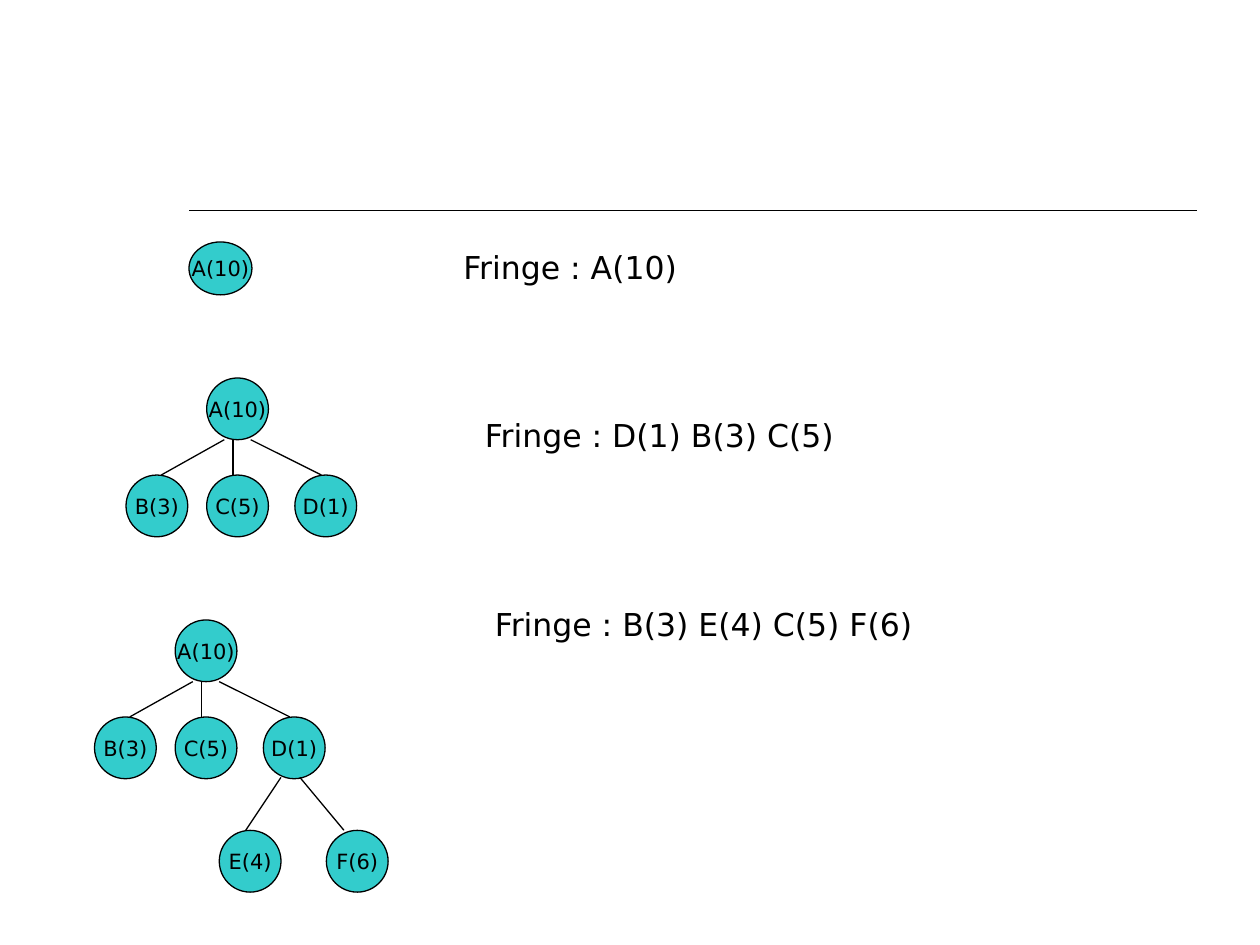
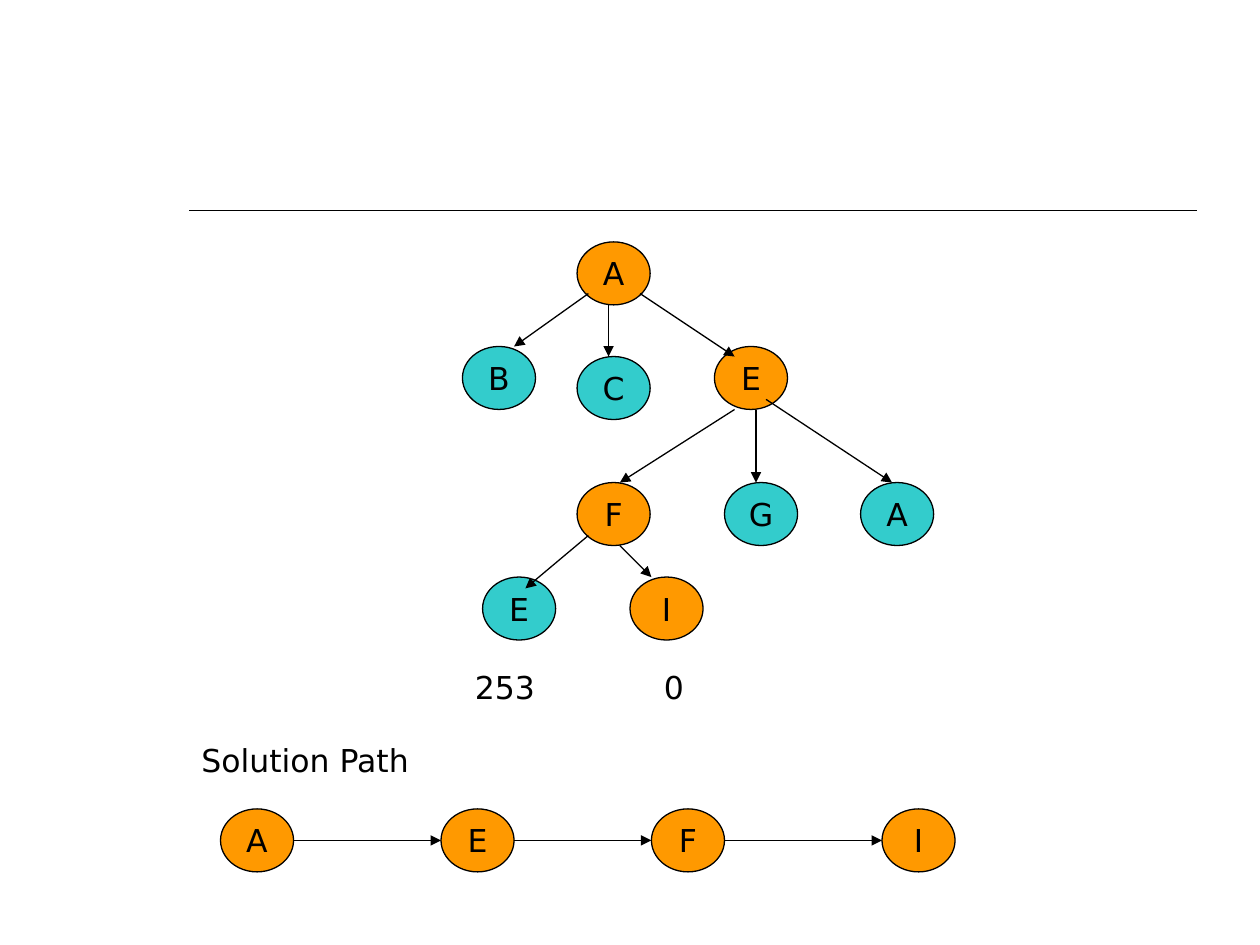
"""Build two slides showing search trees, their fringes and a solution path."""
from pptx import Presentation
from pptx.dml.color import RGBColor
from pptx.enum.shapes import MSO_CONNECTOR, MSO_SHAPE
from pptx.enum.text import MSO_ANCHOR, PP_ALIGN
from pptx.oxml.ns import qn
from pptx.util import Inches, Pt
from lxml.etree import SubElement

FONT = "DejaVu Sans"
BLACK, TEAL, ORANGE = "000000", "33CCCC", "FF9900"
color = RGBColor.from_string


def add_label(slide, text, left, top, width, height, size=18, fill=None):
    box = [Inches(v) for v in (left, top, width, height)]
    if fill:
        sp = slide.shapes.add_shape(MSO_SHAPE.OVAL, *box)
        sp.shadow.inherit = False
        sp.fill.solid()
        sp.fill.fore_color.rgb = color(fill)
        sp.line.color.rgb = color(BLACK)
        sp.line.width = Pt(0.75)
    else:
        sp = slide.shapes.add_textbox(*box)
    tf = sp.text_frame
    tf.word_wrap = not fill
    tf.vertical_anchor = MSO_ANCHOR.MIDDLE if fill else MSO_ANCHOR.TOP
    p = tf.paragraphs[0]
    p.alignment = PP_ALIGN.CENTER if fill else PP_ALIGN.LEFT
    r = p.add_run()
    r.text = text
    r.font.name = FONT
    r.font.size = Pt(size)
    r.font.color.rgb = color(BLACK)


def add_line(slide, x1, y1, x2, y2, width=0.75, arrow=False):
    ends = [Inches(v) for v in (x1, y1, x2, y2)]
    cxn = slide.shapes.add_connector(MSO_CONNECTOR.STRAIGHT, *ends)
    cxn.line.color.rgb = color(BLACK)
    cxn.line.width = Pt(width)
    if arrow:
        SubElement(cxn.line._get_or_add_ln(), qn("a:tailEnd"), type="triangle")
    SubElement(cxn._element.spPr, qn("a:effectLst"))


prs = Presentation()
prs.slide_width, prs.slide_height = Inches(10), Inches(7.5)
blank = prs.slide_layouts[6]
fringe_slide, path_slide = [prs.slides.add_slide(blank) for _ in range(2)]
for slide in (fringe_slide, path_slide):
    add_line(slide, 1.5, 1.67, 9.5, 1.67, width=1)

add_label(fringe_slide, "A(10)", 1.5, 1.92, 0.5, 0.42, 12, TEAL)

DIAMETER = 0.49
first_nodes = [("A(10)", 0.64, 0), ("B(3)", 0, 0.77), ("C(5)", 0.64, 0.77), ("D(1)", 1.34, 0.77)]
first_edges = [(0.78, 0.49, 0.28, 0.77), (0.99, 0.49, 1.55, 0.77), (0.85, 0.49, 0.85, 0.77)]
next_nodes = [("E(4)", 0.99, 1.67), ("F(6)", 1.84, 1.67)]
next_edges = [(1.48, 1.25, 1.2, 1.67), (1.63, 1.25, 1.98, 1.67)]
trees = [
    (1, 3, first_nodes, first_edges),
    (0.75, 4.92, first_nodes + next_nodes, first_edges + next_edges),
]
for x, y, nodes, edges in trees:
    for name, dx, dy in nodes:
        add_label(fringe_slide, name, x + dx, y + dy, DIAMETER, DIAMETER, 12, TEAL)
    for x1, y1, x2, y2 in edges:
        add_line(fringe_slide, x + x1, y + y1, x + x2, y + y2)

for text, left, top, width in [
    ("Fringe : A(10)", 3.58, 1.92, 2),
    ("Fringe : D(1) B(3) C(5)", 3.75, 3.25, 5.5),
    ("Fringe : B(3) E(4) C(5) F(6)", 3.83, 4.75, 5.42),
]:
    add_label(fringe_slide, text, left, top, width, 0.4)

NODE_W, NODE_H = 0.58, 0.5
for name, left, top, fill in [
    ("A", 4.58, 1.92, ORANGE),
    ("B", 3.67, 2.75, TEAL),
    ("C", 4.58, 2.83, TEAL),
    ("E", 5.67, 2.75, ORANGE),
    ("A", 6.83, 3.83, TEAL),
    ("G", 5.75, 3.83, TEAL),
    ("F", 4.58, 3.83, ORANGE),
    ("E", 3.83, 4.58, TEAL),
    ("I", 5, 4.58, ORANGE),
]:
    add_label(path_slide, name, left, top, NODE_W, NODE_H, fill=fill)

for edge in [
    (4.67, 2.33, 4.08, 2.75),
    (4.83, 2.42, 4.83, 2.83),
    (5.08, 2.33, 5.83, 2.83),
    (5.83, 3.25, 4.92, 3.83),
    (6, 3.25, 6, 3.83),
    (6.08, 3.17, 7.08, 3.83),
    (4.67, 4.25, 4.17, 4.67),
    (4.92, 4.33, 5.17, 4.58),
]:
    add_line(path_slide, *edge, arrow=True)

for text, left, top, width in [
    ("253", 3.67, 5.25, 0.83),
    ("0", 5.17, 5.25, 0.83),
    ("Solution Path", 1.5, 5.83, 2.5),
]:
    add_label(path_slide, text, left, top, width, 0.4)

PATH_TOP = 6.42
path_lefts = [1.75, 3.5, 5.17, 7]
for name, left in zip("AEFI", path_lefts):
    add_label(path_slide, name, left, PATH_TOP, NODE_W, NODE_H, fill=ORANGE)
path_y = PATH_TOP + NODE_H / 2
for left, next_left in zip(path_lefts, path_lefts[1:]):
    add_line(path_slide, left + NODE_W, path_y, next_left, path_y, arrow=True)

prs.save("out.pptx")
